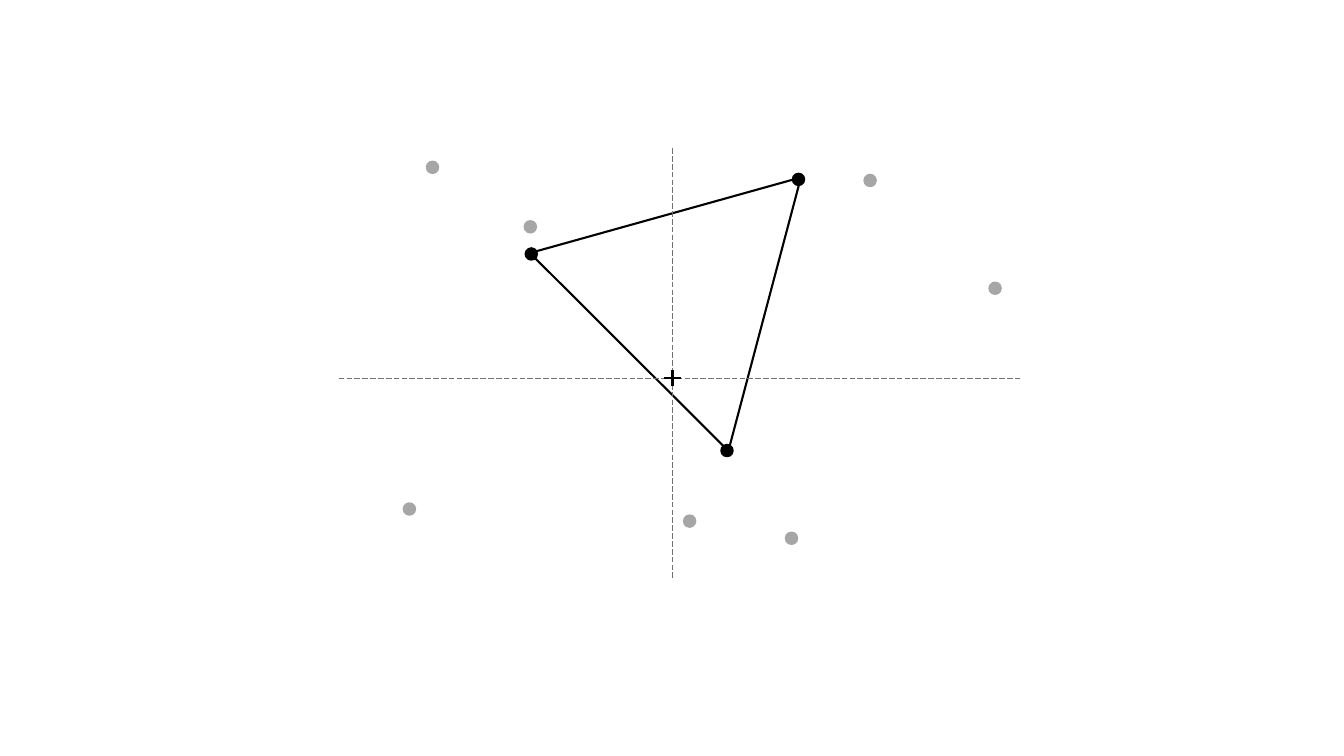
"""Draw a triangle through three of ten points scattered around crossed axes."""
from pptx import Presentation
from pptx.dml.color import RGBColor
from pptx.enum.dml import MSO_LINE_DASH_STYLE as Dash
from pptx.enum.shapes import MSO_CONNECTOR_TYPE as Connector, MSO_SHAPE as Shape
from pptx.oxml.ns import qn
from pptx.util import Inches, Pt
from lxml.etree import SubElement

COLORS = {"chosen": "000000", "other": "A6A6A6", "axis": "767171"}

# Positions and sizes are percentages of the slide's width and height.
POINTS = {
    "other": [(51.31, 68.93), (39.46, 30), (58.89, 71.2), (64.74, 23.87),
              (30.46, 67.33), (32.18, 22.13), (74.04, 38.13)],
    "chosen": [(59.41, 23.73), (39.53, 33.6), (54.09, 59.6)],
}
TRIANGLE = {"box": (41.49, 27.87, 20.93, 32.27), "apex": 0.51, "turn": 164.4}
AXES = [(50.04, 19.6, 50.04, 76.53), (75.92, 50, 25.21, 50)]
ORIGIN_CROSS = [(50.04, 49, 50.04, 51), (49.44, 50, 50.64, 50)]
POINT_SIZE = Inches(0.12)

deck = Presentation()
deck.slide_width, deck.slide_height = Inches(13.33), Inches(7.5)
slide = deck.slides.add_slide(deck.slide_layouts[6])
diagram = slide.shapes.add_group_shape().shapes


def place(shares):
    sides = (deck.slide_width, deck.slide_height) * 2
    return [round(share * side / 100) for share, side in zip(shares, sides)]


def set_line(part, color, width):
    part.line.color.rgb = RGBColor.from_string(COLORS[color])
    part.line.width = Pt(width)


def add_line(ends, color, width, dash=None):
    line = diagram.add_connector(Connector.STRAIGHT, *place(ends))
    set_line(line, color, width)
    if dash:
        line.line.dash_style = dash
    SubElement(line._element.spPr, qn("a:effectLst"))


def add_point(center, color):
    x, y = place(center)
    point = diagram.add_shape(Shape.OVAL, x - POINT_SIZE // 2, y - POINT_SIZE // 2,
                              POINT_SIZE, POINT_SIZE)
    point.shadow.inherit = False
    point.fill.solid()
    point.fill.fore_color.rgb = RGBColor.from_string(COLORS[color])
    set_line(point, color, 1)


triangle = diagram.add_shape(Shape.ISOSCELES_TRIANGLE, *place(TRIANGLE["box"]))
triangle.adjustments[0] = TRIANGLE["apex"]
triangle.rotation = TRIANGLE["turn"]
triangle.shadow.inherit = False
triangle.fill.background()
set_line(triangle, "chosen", 1.5)

for axis in AXES:
    add_line(axis, "axis", 0.5, Dash.LONG_DASH)
for stroke in ORIGIN_CROSS:
    add_line(stroke, "chosen", 1.5)
for color, centers in POINTS.items():
    for center in centers:
        add_point(center, color)

deck.save("out.pptx")
